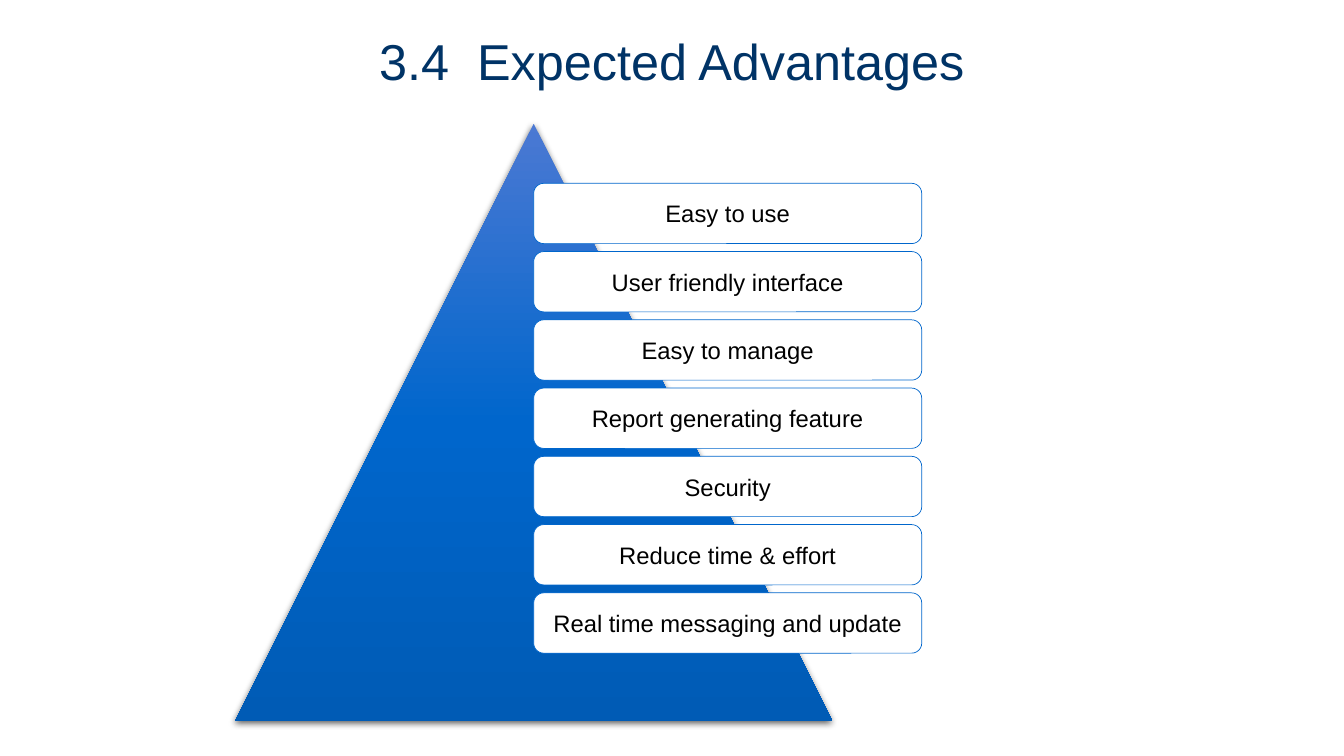
from lxml.etree import SubElement
from pptx import Presentation
from pptx.dml.color import RGBColor
from pptx.enum.shapes import MSO_SHAPE
from pptx.enum.text import MSO_ANCHOR, PP_ALIGN
from pptx.oxml.ns import qn
from pptx.util import Cm, Pt

HEADING = "3.4  Expected Advantages"
ADVANTAGES = [
    "Easy to use",
    "User friendly interface",
    "Easy to manage",
    "Report generating feature",
    "Security",
    "Reduce time & effort",
    "Real time messaging and update",
]

THEME = {
    "font": "Arial",
    "heading": ("003366", 36),
    "advantage": ("000000", 17),
    "card": "FFFFFF",
    "outline": "0066CC",
    "outline_width": 0.5,
    "pyramid": [(0, "4B79D3"), (50, "0066CC"), (100, "005BB5")],
    "shadow": "000000",
}

SLIDE_WIDTH, SLIDE_HEIGHT = 33.87, 19.05
HEADING_WIDTH, HEADING_HEIGHT, HEADING_TOP = 16.94, 1.8, 0.64
PYRAMID_LEFT, PYRAMID_TOP, PYRAMID_SIDE = 5.92, 3.12, 15.06
CARD_TOP, CARD_WIDTH, CARD_HEIGHT, CARD_GAP = 4.62, 9.78, 1.52, 0.2
CARD_INSET = 0.18


def place(left, top, width, height):
    return [Cm(length) for length in (left, top, width, height)]


def write(frame, wording, style, frame_format):
    for name, value in frame_format.items():
        setattr(frame, name, value)
    line = frame.paragraphs[0]
    line.alignment = PP_ALIGN.CENTER
    run = line.add_run()
    run.text = wording
    colour, size = THEME[style]
    for name, value in {"name": THEME["font"], "size": Pt(size)}.items():
        setattr(run.font, name, value)
    run.font.color.rgb = RGBColor.from_string(colour)


def add_colour(parent, colour):
    return SubElement(parent, qn("a:srgbClr"), val=colour)


def add_heading(slide):
    left = (SLIDE_WIDTH - HEADING_WIDTH) / 2
    heading = slide.shapes.add_textbox(
        *place(left, HEADING_TOP, HEADING_WIDTH, HEADING_HEIGHT))
    write(heading.text_frame, HEADING, "heading", {"word_wrap": True})


def add_pyramid(slide):
    pyramid = slide.shapes.add_shape(
        MSO_SHAPE.ISOSCELES_TRIANGLE,
        *place(PYRAMID_LEFT, PYRAMID_TOP, PYRAMID_SIDE, PYRAMID_SIDE))
    pyramid.line.fill.background()
    pyramid.shadow.inherit = False
    pyramid.fill.gradient()

    properties = pyramid.element.spPr
    gradient = properties.find(qn("a:gradFill"))
    for part in list(gradient):
        gradient.remove(part)
    stops = SubElement(gradient, qn("a:gsLst"))
    for percent, colour in THEME["pyramid"]:
        add_colour(SubElement(stops, qn("a:gs"), pos=str(percent * 1000)), colour)
    SubElement(gradient, qn("a:lin"), ang="5400000", scaled="0")

    shadow = SubElement(
        properties.find(qn("a:effectLst")), qn("a:outerShdw"),
        blurRad=str(Pt(4.5)), dist=str(Pt(1.5)), dir="5400000", rotWithShape="0")
    SubElement(add_colour(shadow, THEME["shadow"]), qn("a:alpha"), val="63000")


def add_card(slide, row, advantage):
    left = PYRAMID_LEFT + PYRAMID_SIDE / 2
    top = CARD_TOP + row * (CARD_HEIGHT + CARD_GAP)
    card = slide.shapes.add_shape(
        MSO_SHAPE.ROUNDED_RECTANGLE, *place(left, top, CARD_WIDTH, CARD_HEIGHT))
    card.shadow.inherit = False
    card.fill.solid()
    card.fill.fore_color.rgb = RGBColor.from_string(THEME["card"])
    card.line.color.rgb = RGBColor.from_string(THEME["outline"])
    card.line.width = Pt(THEME["outline_width"])
    sides = ("left", "top", "right", "bottom")
    card_format = {f"margin_{side}": Cm(CARD_INSET) for side in sides}
    card_format.update(word_wrap=True, vertical_anchor=MSO_ANCHOR.MIDDLE)
    write(card.text_frame, advantage, "advantage", card_format)


def main():
    deck = Presentation()
    deck.slide_width, deck.slide_height = Cm(SLIDE_WIDTH), Cm(SLIDE_HEIGHT)
    slide = deck.slides.add_slide(deck.slide_layouts[6])
    add_heading(slide)
    add_pyramid(slide)
    for row, advantage in enumerate(ADVANTAGES):
        add_card(slide, row, advantage)
    deck.save("out.pptx")


if __name__ == "__main__":
    main()
